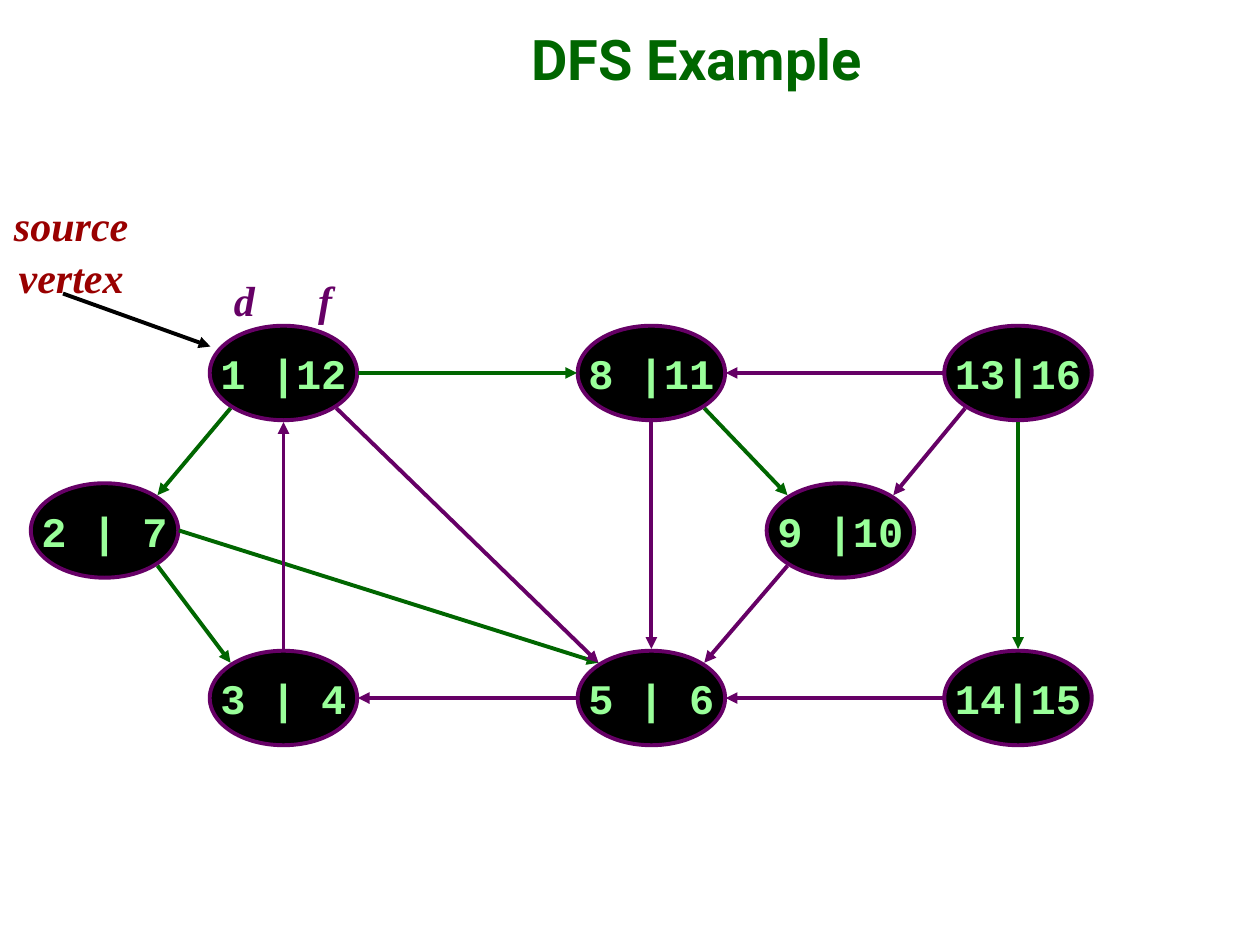
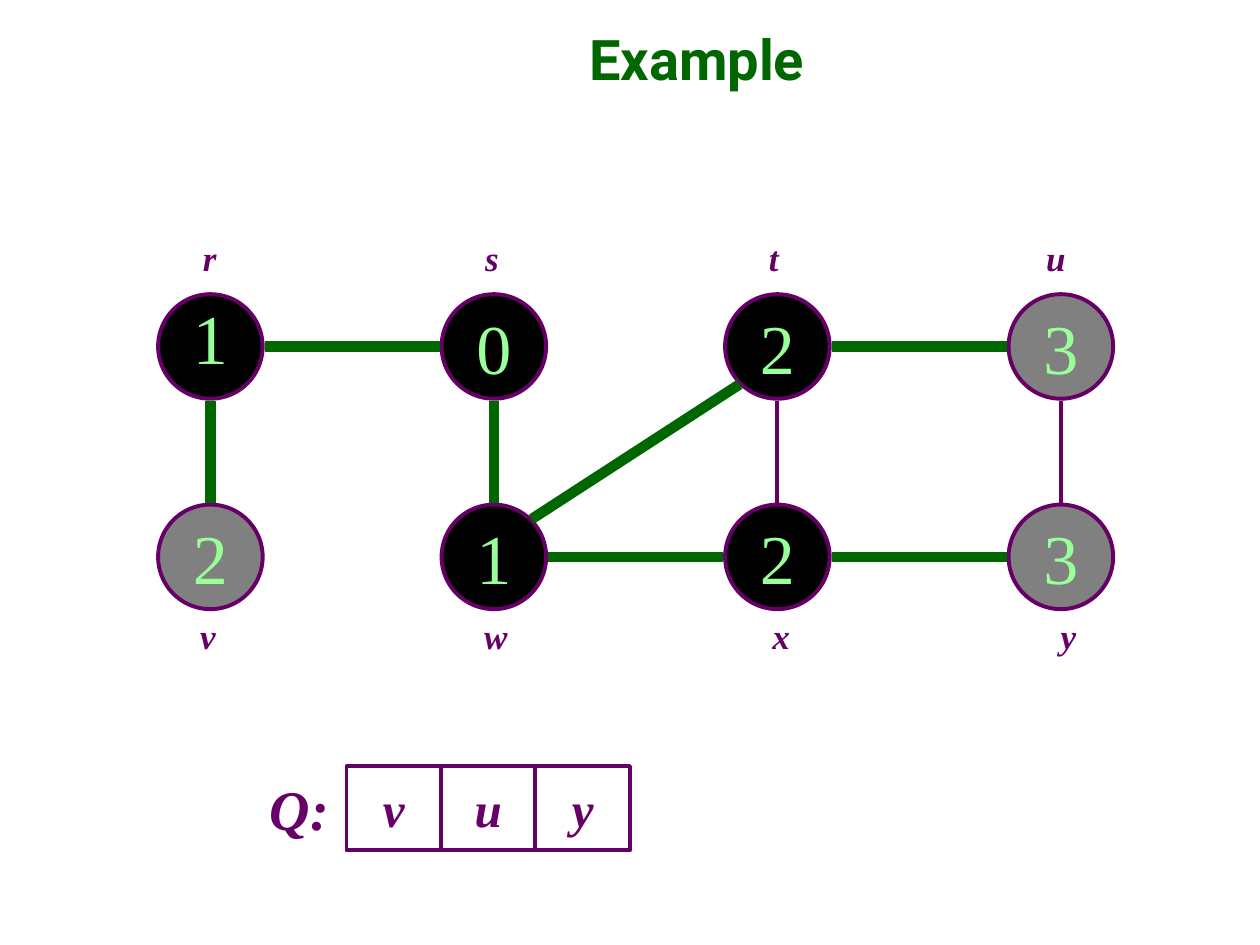
"""Build two slides with graph search examples: a finished DFS and a BFS step with its queue."""
from lxml import etree
from pptx import Presentation
from pptx.dml.color import RGBColor
from pptx.enum.shapes import MSO_CONNECTOR, MSO_SHAPE
from pptx.enum.text import MSO_ANCHOR, PP_ALIGN
from pptx.oxml.ns import qn
from pptx.util import Inches, Pt

OVAL = MSO_SHAPE.OVAL
RECTANGLE = MSO_SHAPE.RECTANGLE
STRAIGHT = MSO_CONNECTOR.STRAIGHT
CENTER = PP_ALIGN.CENTER
MIDDLE = MSO_ANCHOR.MIDDLE

GREEN = "006600"
PURPLE = "660066"
RED = "990000"
BLACK = "000000"
GRAY = "808080"
LIGHT_GREEN = "99FF99"
SERIF = "Times New Roman"
THIN = 2.25
THICK = 6

DIAGONAL = 0.707
COMPASS = {
    "": (0, 0),
    "N": (0, -1), "S": (0, 1), "E": (1, 0), "W": (-1, 0),
    "NE": (DIAGONAL, -DIAGONAL), "NW": (-DIAGONAL, -DIAGONAL),
    "SE": (DIAGONAL, DIAGONAL), "SW": (-DIAGONAL, DIAGONAL),
}


def write_text(shape, text, size, color=PURPLE, font=SERIF, bold=True, italic=True,
               fill=None, outline=None, wrap=False, spacing=None):
    shape.shadow.inherit = False
    if fill:
        shape.fill.solid()
        shape.fill.fore_color.rgb = RGBColor.from_string(fill)
    else:
        shape.fill.background()
    if outline:
        shape.line.color.rgb = RGBColor.from_string(outline)
        shape.line.width = Pt(THIN)
    frame = shape.text_frame
    frame.word_wrap = wrap
    frame.vertical_anchor = MIDDLE
    paragraph = frame.paragraphs[0]
    paragraph.text = text
    paragraph.alignment = CENTER
    if spacing:
        paragraph.line_spacing = spacing
    for run in paragraph.runs:
        run.font.name = font
        run.font.size = Pt(size)
        run.font.bold = bold
        run.font.italic = italic
        run.font.color.rgb = RGBColor.from_string(color)


def add_edge(slide, start, end, radii=(0, 0), color=PURPLE, width=THIN, arrow=True):
    ends = []
    for center, side in (start, end):
        for position, direction, radius in zip(center, COMPASS[side], radii):
            ends.append(Inches(round(position + direction * radius, 2)))
    connector = slide.shapes.add_connector(STRAIGHT, *ends)
    connector.line.color.rgb = RGBColor.from_string(color)
    connector.line.width = Pt(width)
    if arrow:
        etree.SubElement(connector.line._get_or_add_ln(), qn("a:tailEnd"), type="triangle")
    etree.SubElement(connector._element.spPr, qn("a:effectLst"))


presentation = Presentation()
presentation.slide_width = Inches(10)
presentation.slide_height = Inches(7.5)

slides = []
for title_text in ("DFS Example", "Example"):
    slide = presentation.slides.add_slide(presentation.slide_layouts[5])
    title = slide.shapes.title
    title.left, title.top = Inches(1.28), Inches(0)
    title.width, title.height = Inches(8.5), Inches(0.92)
    write_text(title, title_text, 32, color=GREEN, font="Roboto", italic=False, wrap=True)
    slides.append(slide)
dfs_slide, bfs_slide = slides

VERTEX_WIDTH, VERTEX_HEIGHT = 1.17, 0.75
DFS_RADII = (0.59, 0.39)
dfs_vertices = {
    "1 |12": (2.25, 2.96), "8 |11": (5.17, 2.96), "13|16": (8.08, 2.96),
    "14|15": (8.08, 5.54), "5 | 6": (5.17, 5.54), "3 | 4": (2.25, 5.54),
    "2 | 7": (0.83, 4.21), "9 |10": (6.67, 4.21),
}
for times, (x, y) in dfs_vertices.items():
    vertex = dfs_slide.shapes.add_shape(
        OVAL, Inches(x - VERTEX_WIDTH / 2), Inches(y - VERTEX_HEIGHT / 2),
        Inches(VERTEX_WIDTH), Inches(VERTEX_HEIGHT))
    write_text(vertex, times, 24, color=LIGHT_GREEN, font="Courier New", italic=False,
               fill=BLACK, outline=PURPLE)

dfs_edges = [
    ("1 |12", "SW", "2 | 7", "NE", GREEN),
    ("2 | 7", "SE", "3 | 4", "NW", GREEN),
    ("2 | 7", "E", "5 | 6", "NW", GREEN),
    ("5 | 6", "W", "3 | 4", "E", PURPLE),
    ("3 | 4", "N", "1 |12", "S", PURPLE),
    ("1 |12", "SE", "5 | 6", "NW", PURPLE),
    ("8 |11", "S", "5 | 6", "N", PURPLE),
    ("1 |12", "E", "8 |11", "W", GREEN),
    ("13|16", "W", "8 |11", "E", PURPLE),
    ("8 |11", "SE", "9 |10", "NW", GREEN),
    ("13|16", "SW", "9 |10", "NE", PURPLE),
    ("13|16", "S", "14|15", "N", GREEN),
    ("14|15", "W", "5 | 6", "E", PURPLE),
    ("9 |10", "SW", "5 | 6", "NE", PURPLE),
]
for tail, tail_side, head, head_side, color in dfs_edges:
    add_edge(dfs_slide, (dfs_vertices[tail], tail_side), (dfs_vertices[head], head_side),
             DFS_RADII, color)
add_edge(dfs_slide, ((0.5, 2.33), ""), ((1.67, 2.75), ""), color=BLACK)

source_label = dfs_slide.shapes.add_textbox(
    Inches(0.01), Inches(1.53), Inches(1.11), Inches(0.9))
write_text(source_label, "source\vvertex", 24, color=RED, spacing=1.05)
for time_name, left in (("d", 1.74), ("f", 2.38)):
    time_label = dfs_slide.shapes.add_textbox(
        Inches(left), Inches(2), Inches(0.4), Inches(0.75))
    write_text(time_label, time_name, 24)

DIAMETER = 0.83
BFS_RADII = (0.43, 0.43)
COLUMN_START, COLUMN_STEP = 1.67, 2.25
bfs_rows = [
    (2.75, 1.83, [("r", "1", BLACK, 1.51, 0.31), ("s", "0", BLACK, 3.75, 0.31),
                  ("t", "2", BLACK, 6, 0.28), ("u", "3", GRAY, 8.2, 0.36)]),
    (4.42, 4.83, [("v", "2", GRAY, 1.49, 0.32), ("w", "1", BLACK, 3.74, 0.39),
                  ("x", "2", BLACK, 6.03, 0.34), ("y", "3", GRAY, 8.32, 0.32)]),
]
bfs_vertices = {}
for y, label_top, row in bfs_rows:
    for column, (name, distance, fill, label_left, label_width) in enumerate(row):
        x = COLUMN_START + column * COLUMN_STEP
        bfs_vertices[name] = (x, y)
        vertex = bfs_slide.shapes.add_shape(
            OVAL, Inches(x - DIAMETER / 2), Inches(y - DIAMETER / 2),
            Inches(DIAMETER), Inches(DIAMETER))
        write_text(vertex, distance, 40, color=LIGHT_GREEN, bold=False, italic=False,
                   fill=fill, outline=PURPLE, spacing=0.7 if name == "r" else None)
        label = bfs_slide.shapes.add_textbox(
            Inches(label_left), Inches(label_top), Inches(label_width), Inches(0.43))
        write_text(label, name, 20)

bfs_edges = [
    ("v", "N", "r", "S", GREEN, THICK),
    ("r", "E", "s", "W", GREEN, THICK),
    ("s", "S", "w", "N", GREEN, THICK),
    ("w", "NE", "t", "SW", GREEN, THICK),
    ("w", "E", "x", "W", GREEN, THICK),
    ("x", "N", "t", "S", PURPLE, THIN),
    ("t", "E", "u", "W", GREEN, THICK),
    ("x", "E", "y", "W", GREEN, THICK),
    ("y", "N", "u", "S", PURPLE, THIN),
]
for first, first_side, second, second_side, color, width in bfs_edges:
    add_edge(bfs_slide, (bfs_vertices[first], first_side), (bfs_vertices[second], second_side),
             BFS_RADII, color, width, arrow=False)

QUEUE_LEFT, QUEUE_TOP, CELL_WIDTH, CELL_HEIGHT = 2, 6.08, 0.75, 0.67
queue_label = bfs_slide.shapes.add_textbox(
    Inches(QUEUE_LEFT), Inches(QUEUE_TOP), Inches(CELL_WIDTH), Inches(CELL_HEIGHT))
write_text(queue_label, "Q:", 32)
for position, name in enumerate("vuy", start=1):
    cell = bfs_slide.shapes.add_shape(
        RECTANGLE, Inches(QUEUE_LEFT + position * CELL_WIDTH), Inches(QUEUE_TOP),
        Inches(CELL_WIDTH), Inches(CELL_HEIGHT))
    write_text(cell, name, 28, outline=PURPLE)

presentation.save("out.pptx")
